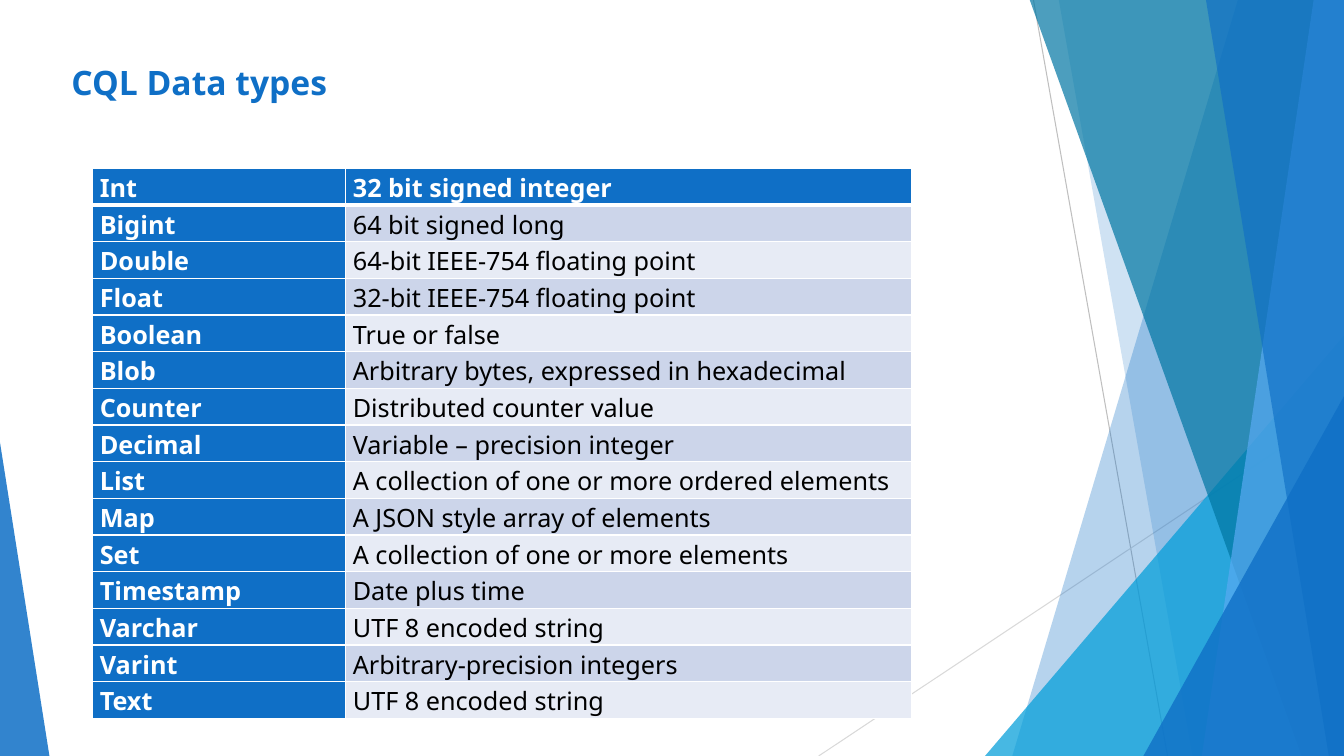
from lxml import etree
from pptx import Presentation
from pptx.dml.color import RGBColor
from pptx.enum import shapes, text
from pptx.oxml import ns
from pptx.util import Inches, Pt

FONT = "Noto Sans"
COLOURS = {
    "blue": "0F6FC6", "cyan": "009DD9", "teal": "0076A3", "sky": "59AAF2",
    "white": "FFFFFF", "black": "000000", "band_dark": "CCD5EA",
    "band_light": "E7EBF5", "grey": "BFBFBF", "light_grey": "D9D9D9",
}
TITLE = "CQL Data types"
DATA_TYPES = [
    ("Int", "32 bit signed integer"),
    ("Bigint", "64 bit signed long"),
    ("Double", "64-bit IEEE-754 floating point"),
    ("Float", "32-bit IEEE-754 floating point"),
    ("Boolean", "True or false"),
    ("Blob", "Arbitrary bytes, expressed in hexadecimal"),
    ("Counter", "Distributed counter value"),
    ("Decimal", "Variable – precision integer"),
    ("List", "A collection of one or more ordered elements"),
    ("Map", "A JSON style array of elements"),
    ("Set", "A collection of one or more elements"),
    ("Timestamp", "Date plus time"),
    ("Varchar", "UTF 8 encoded string"),
    ("Varint", "Arbitrary-precision integers"),
    ("Text", "UTF 8 encoded string"),
]
WIDTH, HEIGHT, TOP = 13.33, 7.5, -0.01
COLUMN_WIDTHS = (2.51, 5.61)
TABLE_LEFT, TABLE_TOP, TABLE_HEIGHT = 0.92, 1.67, 5.46

# start, end, colour
LINES = [
    ((10.25, 0), (11.58, HEIGHT), "grey"),
    ((WIDTH, 4.03), (8.12, HEIGHT), "light_grey"),
]
# Back to front. A band is (top left x, bottom left x) and runs to the right
# edge; a triangle is (left, top, width, apex) and stands on the bottom edge.
DECORATION = [
    ("band", (12.28, 10.04), "blue", 30),
    ("band", (10.5, 11.83), "blue", 20),
    ("triangle", (9.77, 3.33, 3.56, 1), "cyan", 72),
    ("band", (10.21, 12.91), "teal", 70),
    ("band", (13.03, 11.92), "sky", 70),
    ("band", (11.96, 13.18), "blue", 65),
    ("triangle", (11.34, 3.93, 1.99, 1), "blue", 80),
    ("triangle", (0, 4.39, 0.49, 0), "blue", 85),
]


def rgb(name):
    return RGBColor.from_string(COLOURS[name])


def write(frame, words, size, colour, bold=False, align=None, spacing=None):
    paragraph = frame.paragraphs[0]
    paragraph.alignment = align
    paragraph.line_spacing = spacing
    run = paragraph.add_run()
    run.text = words
    run.font.name = FONT
    run.font.size = Pt(size)
    run.font.bold = bold
    run.font.color.rgb = rgb(colour)


def add_line(slide, start, end, colour):
    points = [Inches(value) for value in (*start, *end)]
    line = slide.shapes.add_connector(shapes.MSO_CONNECTOR.STRAIGHT, *points)
    line.line.color.rgb = rgb(colour)
    line.line.width = Pt(0.75)
    etree.SubElement(line._element.spPr, ns.qn("a:effectLst"))


def add_band(slide, top_x, bottom_x):
    corners = [(top_x, TOP), (WIDTH, TOP), (WIDTH, HEIGHT), (bottom_x, HEIGHT)]
    points = [(Inches(x), Inches(y)) for x, y in corners]
    builder = slide.shapes.build_freeform(*points[0])
    builder.add_line_segments(points[1:], close=True)
    return builder.convert_to_shape()


def add_triangle(slide, left, top, width, apex):
    box = [Inches(value) for value in (left, top, width, HEIGHT - top)]
    triangle = slide.shapes.add_shape(
        shapes.MSO_SHAPE.ISOSCELES_TRIANGLE, *box)
    triangle.adjustments[0] = apex
    return triangle


def paint(shape, colour, opacity):
    shape.shadow.inherit = False
    shape.line.fill.background()
    shape.fill.solid()
    shape.fill.fore_color.rgb = rgb(colour)
    colour_node = shape._element.spPr.find(".//" + ns.qn("a:srgbClr"))
    etree.SubElement(colour_node, ns.qn("a:alpha"), val=str(opacity * 1000))


def set_borders(cell, bottom_width, top_width):
    """Give the cell white borders, placed before its fill as the schema asks."""
    properties = cell._tc.get_or_add_tcPr()
    widths = {"lnL": 1, "lnR": 1, "lnT": top_width, "lnB": bottom_width}
    for index, (side, width) in enumerate(widths.items()):
        border = etree.Element(ns.qn("a:" + side), w=str(Pt(width)))
        fill = etree.SubElement(border, ns.qn("a:solidFill"))
        etree.SubElement(fill, ns.qn("a:srgbClr"), val=COLOURS["white"])
        properties.insert(index, border)


def add_type_table(slide):
    table = slide.shapes.add_table(
        len(DATA_TYPES), len(COLUMN_WIDTHS), Inches(TABLE_LEFT),
        Inches(TABLE_TOP), Inches(sum(COLUMN_WIDTHS)), Inches(TABLE_HEIGHT),
    ).table
    for column, width in zip(table.columns, COLUMN_WIDTHS):
        column.width = Inches(width)
    for row, entry in enumerate(DATA_TYPES):
        for column, words in enumerate(entry):
            cell = table.cell(row, column)
            heading = row == 0 or column == 0
            band = "band_dark" if row % 2 else "band_light"
            cell.fill.solid()
            cell.fill.fore_color.rgb = rgb("blue" if heading else band)
            cell.margin_left = cell.margin_right = Inches(0.07)
            cell.margin_top = cell.margin_bottom = 0
            set_borders(cell, bottom_width=3 if row == 0 else 1,
                        top_width=3 if row == 1 else 1)
            write(cell.text_frame, words, size=18, bold=heading,
                  colour="white" if heading else "black",
                  align=text.PP_ALIGN.JUSTIFY, spacing=1.07)


def main():
    presentation = Presentation()
    presentation.slide_width = Inches(WIDTH)
    presentation.slide_height = Inches(HEIGHT)
    slide = presentation.slides.add_slide(presentation.slide_layouts[6])

    for start, end, colour in LINES:
        add_line(slide, start, end, colour)
    makers = {"band": add_band, "triangle": add_triangle}
    for kind, geometry, colour, opacity in DECORATION:
        paint(makers[kind](slide, *geometry), colour, opacity)

    title = slide.shapes.add_textbox(
        Inches(0.61), Inches(0.56), Inches(11.5), Inches(0.55))
    title.text_frame.word_wrap = True
    write(title.text_frame, TITLE, size=24, colour="blue", bold=True)
    add_type_table(slide)
    presentation.save("out.pptx")


if __name__ == "__main__":
    main()
